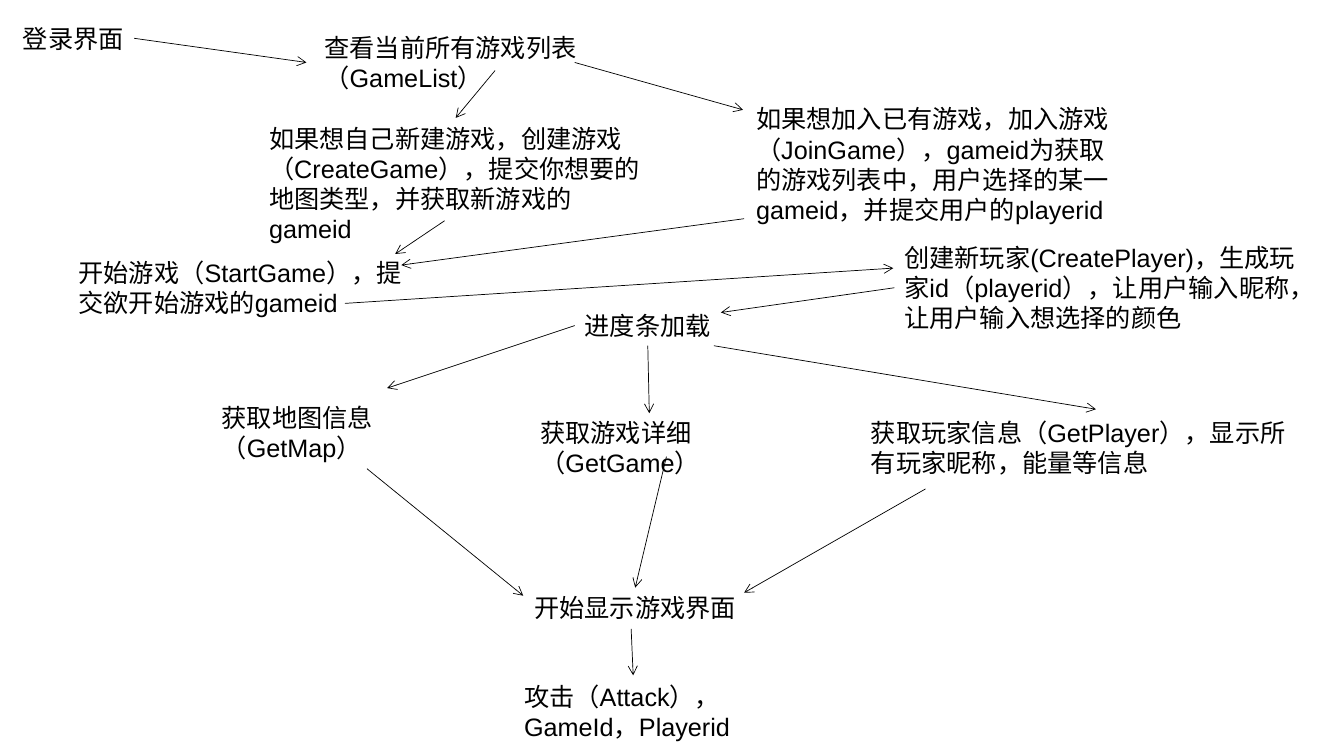
import pptx
import pptx.dml.color
import pptx.enum.shapes
import pptx.enum.text
import pptx.oxml
import pptx.oxml.ns
import pptx.util
from pptx.util import Inches

BLACK = "000000"
STEP_FONT = {"name": "Arial", "size": pptx.util.Pt(18)}
STEP_FRAME = {"auto_size": pptx.enum.text.MSO_AUTO_SIZE.SHAPE_TO_FIT_TEXT}
TOP, LEFT, BOTTOM, RIGHT = range(4)

# Step: text, (left, top, width, height), wraps
STEPS = {
    "login": ("登录界面", (0.13, 0.18, 1.2, 0.4), False),
    "game_list": ("查看当前所有游戏列表（GameList）", (3.12, 0.27, 3.14, 0.71), True),
    "create_game": ("如果想自己新建游戏，创建游戏（CreateGame），提交你想要的地图类型，"
                    "并获取新游戏的gameid", (2.57, 1.17, 3.9, 1.31), True),
    "join_game": ("如果想加入已有游戏，加入游戏（JoinGame），gameid为获取的游戏列表中，"
                  "用户选择的某一gameid，并提交用户的playerid", (7.4, 0.98, 3.88, 1.31), True),
    "start_game": ("开始游戏（StartGame），提交欲开始游戏的gameid", (0.68, 2.5, 3.65, 0.71), True),
    "create_player": ("创建新玩家(CreatePlayer)，生成玩家id（playerid），让用户输入昵称，"
                      "让用户输入想选择的颜色", (8.87, 2.35, 4.15, 1.01), True),
    "loading": ("进度条加载", (5.7, 3.03, 1.45, 0.4), True),
    "get_map": ("获取地图信息（GetMap）", (2.1, 3.94, 2.42, 0.71), True),
    "get_game": ("获取游戏详细（GetGame）", (5.26, 4.09, 3.28, 0.4), True),
    "get_player": ("获取玩家信息（GetPlayer），显示所有玩家昵称，能量等信息",
                   (8.54, 4.09, 4.38, 0.71), True),
    "game_screen": ("开始显示游戏界面", (5.2, 5.83, 2.2, 0.4), False),
    "attack": ("攻击（Attack），GameId，Playerid", (5.1, 6.71, 2.67, 0.71), True),
}

# Arrow: begin and end, each a free point or a (step, side) joint
ARROWS = [
    (("login", RIGHT), (3.04, 0.62)),
    ((5.7, 0.62), (7.37, 1.09)),
    ((4.91, 0.7), ("create_game", TOP)),
    ((4.41, 2.19), (3.92, 2.52)),
    ((7.38, 2.17), (3.98, 2.63)),
    ((3.42, 3.01), (8.86, 2.66)),
    (("create_player", LEFT), (7.15, 3.1)),
    (("loading", LEFT), (3.84, 3.85)),
    (("loading", BOTTOM), (6.44, 4.1)),
    ((7.08, 3.43), (10.87, 4.06)),
    ((3.64, 4.65), (5.19, 5.91)),
    ((6.61, 4.53), ("game_screen", TOP)),
    ((9.18, 4.85), (7.38, 5.88)),
    ((6.26, 6.24), (6.28, 6.7)),
]


def rgb(hex_value):
    return pptx.dml.color.RGBColor.from_string(hex_value)


def apply_format(target, values):
    for attribute, value in values.items():
        setattr(target, attribute, value)


def add_step(slide, text, box, wraps):
    step = slide.shapes.add_textbox(*map(Inches, box))
    apply_format(step.text_frame, STEP_FRAME | {"word_wrap": wraps})
    run = step.text_frame.paragraphs[0].add_run()
    run.text = text
    apply_format(run.font, STEP_FONT)
    run.font.color.rgb = rgb(BLACK)
    return step


def locate(end):
    """Give the point of an arrow's end in inches."""
    if end[0] not in STEPS:
        return end
    name, side = end
    left, top, width, height = STEPS[name][1]
    across, down = {TOP: (0.5, 0), LEFT: (0, 0.5),
                    BOTTOM: (0.5, 1), RIGHT: (1, 0.5)}[side]
    return left + across * width, top + down * height


def add_arrow(slide, steps, begin, end):
    points = map(Inches, (*locate(begin), *locate(end)))
    arrow = slide.shapes.add_connector(
        pptx.enum.shapes.MSO_CONNECTOR.STRAIGHT, *points)
    for joint, connect in ((begin, arrow.begin_connect), (end, arrow.end_connect)):
        if joint[0] in steps:
            connect(steps[joint[0]], joint[1])
    arrow.line.color.rgb = rgb(BLACK)
    arrow.line.width = pptx.util.Pt(0.5)
    # Open arrowhead, no shadow
    head = pptx.oxml.parse_xml(
        f'<a:tailEnd {pptx.oxml.ns.nsdecls("a")} type="arrow"/>')
    arrow.line._get_or_add_ln().append(head)
    no_effects = pptx.oxml.parse_xml(
        f'<a:effectLst {pptx.oxml.ns.nsdecls("a")}/>')
    arrow._element.spPr.append(no_effects)


def main():
    deck = pptx.Presentation()
    deck.slide_width, deck.slide_height = Inches(13.33), Inches(7.5)
    slide = deck.slides.add_slide(deck.slide_layouts[6])

    # Steps of the game flow
    steps = {name: add_step(slide, *step) for name, step in STEPS.items()}

    # Arrows between the steps
    for begin, end in ARROWS:
        add_arrow(slide, steps, begin, end)

    deck.save("out.pptx")


if __name__ == "__main__":
    main()
